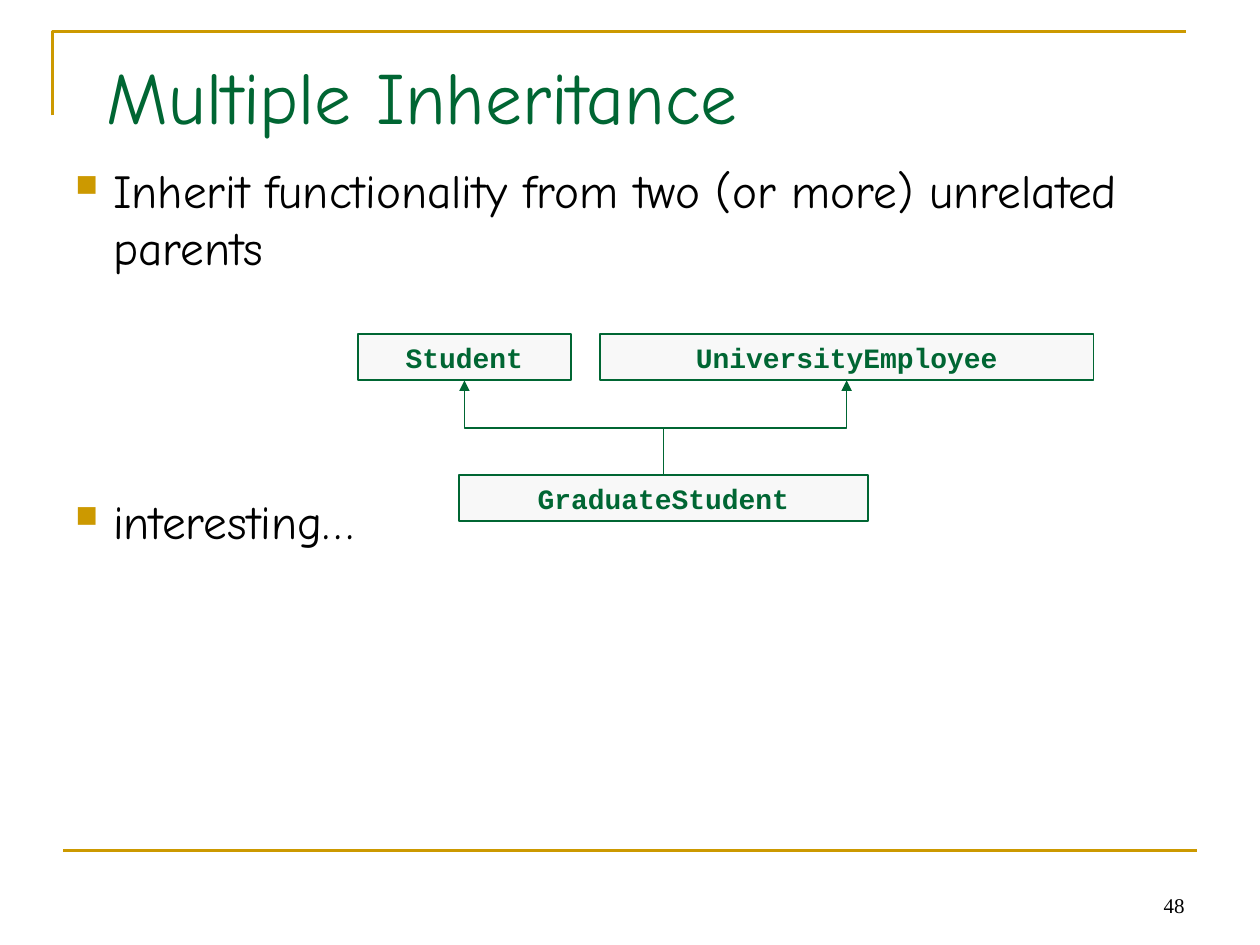
from pptx import Presentation
from pptx.dml.color import RGBColor
from pptx.enum.shapes import MSO_CONNECTOR as CONN, MSO_SHAPE as SHAPE
from pptx.enum.text import MSO_ANCHOR as ANCHOR, PP_ALIGN as ALIGN
from pptx.oxml.ns import qn
from pptx.util import Pt
from lxml.etree import SubElement

GOLD, GREEN, BLACK, PALE = "CC9900", "006633", "000000", "F8F8F8"
SANS, MONO, SERIF = "Comic Neue", "Courier New", "Times New Roman"

TITLE = "Multiple Inheritance"
PAGE = "48"
BULLETS = [
    ("Inherit functionality from two (or more) unrelated parents", 0),
    ("interesting…", 124.4),
]
BOX_H = 26.6
CHILD = ("GraduateStudent", 262.1, 271.4, 234)
PARENTS = [
    ("UniversityEmployee", 342.7, 190.8, 282.2),
    ("Student", 204.5, 190.8, 121.7),
]


def color(value):
    return RGBColor.from_string(value)


def add_run(p, text, size, font, fill, bold=False):
    r = p.add_run()
    r.text = text
    r.font.size, r.font.name, r.font.bold = Pt(size), font, bold
    r.font.color.rgb = color(fill)


def add_text(s, x, y, w, h, anchor):
    tf = s.shapes.add_textbox(Pt(x), Pt(y), Pt(w), Pt(h)).text_frame
    tf.word_wrap = True
    tf.vertical_anchor = anchor
    return tf


def set_bullet(p):
    pPr = p._p.get_or_add_pPr()
    pPr.set("marL", str(Pt(21.6)))
    pPr.set("indent", str(-Pt(21.6)))
    SubElement(SubElement(pPr, qn("a:buClr")), qn("a:srgbClr"), val=GOLD)
    SubElement(pPr, qn("a:buSzPct"), val="65000")
    SubElement(pPr, qn("a:buChar"), char="■")


def set_line(sp, fill, width):
    sp.line.color.rgb = color(fill)
    sp.line.width = Pt(width)


def add_connector(s, kind, x1, y1, x2, y2, fill, width):
    sp = s.shapes.add_connector(kind, Pt(x1), Pt(y1), Pt(x2), Pt(y2))
    set_line(sp, fill, width)
    SubElement(sp._element.spPr, qn("a:effectLst"))
    return sp


def add_class(s, name, x, y, w):
    sp = s.shapes.add_shape(SHAPE.RECTANGLE, Pt(x), Pt(y), Pt(w), Pt(BOX_H))
    sp.shadow.inherit = False
    sp.fill.solid()
    sp.fill.fore_color.rgb = color(PALE)
    set_line(sp, GREEN, 1)
    tf = sp.text_frame
    tf.vertical_anchor = ANCHOR.MIDDLE
    p = tf.paragraphs[0]
    p.alignment = ALIGN.CENTER
    add_run(p, name, 16, MONO, GREEN, True)


def add_inheritance(s, parent, child):
    x1, y1 = parent[1] + parent[3] / 2, parent[2] + BOX_H
    x2, y2 = child[1] + child[3] / 2, child[2]
    w, h = y2 - y1, abs(x2 - x1)
    x, y = (x1 + x2 - w) / 2, (y1 + y2 - h) / 2
    sp = add_connector(s, CONN.ELBOW, x, y, x + w, y + h, GREEN, 1)
    xfrm = sp._element.spPr.find(qn("a:xfrm"))
    xfrm.set("rot", str((90 if x1 > x2 else 270) * 60000))
    if x1 < x2:
        xfrm.set("flipH", "1")
    SubElement(sp.line._get_or_add_ln(), qn("a:headEnd"), type="triangle", w="med", len="med")


def main():
    prs = Presentation()
    prs.slide_width, prs.slide_height = Pt(720), Pt(540)
    s = prs.slides.add_slide(prs.slide_layouts[6])

    path = s.shapes.build_freeform(Pt(30), Pt(66), scale=1.0)
    path.add_line_segments([(Pt(30), Pt(18)), (Pt(678), Pt(18))], close=False)
    corner = path.convert_to_shape()
    corner.shadow.inherit = False
    corner.fill.background()
    set_line(corner, GOLD, 1.5)
    add_connector(s, CONN.STRAIGHT, 36, 486, 684, 486, GOLD, 1.5)

    p = add_text(s, 516, 492, 168, 36, ANCHOR.BOTTOM).paragraphs[0]
    p.alignment = ALIGN.RIGHT
    add_run(p, PAGE, 12, SERIF, BLACK)

    tf = add_text(s, 54, 26, 612, 61, ANCHOR.BOTTOM)
    tf.margin_bottom = Pt(7.2)
    add_run(tf.paragraphs[0], TITLE, 42, SANS, GREEN)

    tf = add_text(s, 36, 88.5, 648, 394, ANCHOR.TOP)
    for i, (text, gap) in enumerate(BULLETS):
        p = tf.add_paragraph() if i else tf.paragraphs[0]
        set_bullet(p)
        p.space_before = Pt(gap)
        add_run(p, text, 27, SANS, BLACK)

    for box in [CHILD, *PARENTS]:
        add_class(s, *box)
    for parent in PARENTS:
        add_inheritance(s, parent, CHILD)

    prs.save("out.pptx")


if __name__ == "__main__":
    main()
